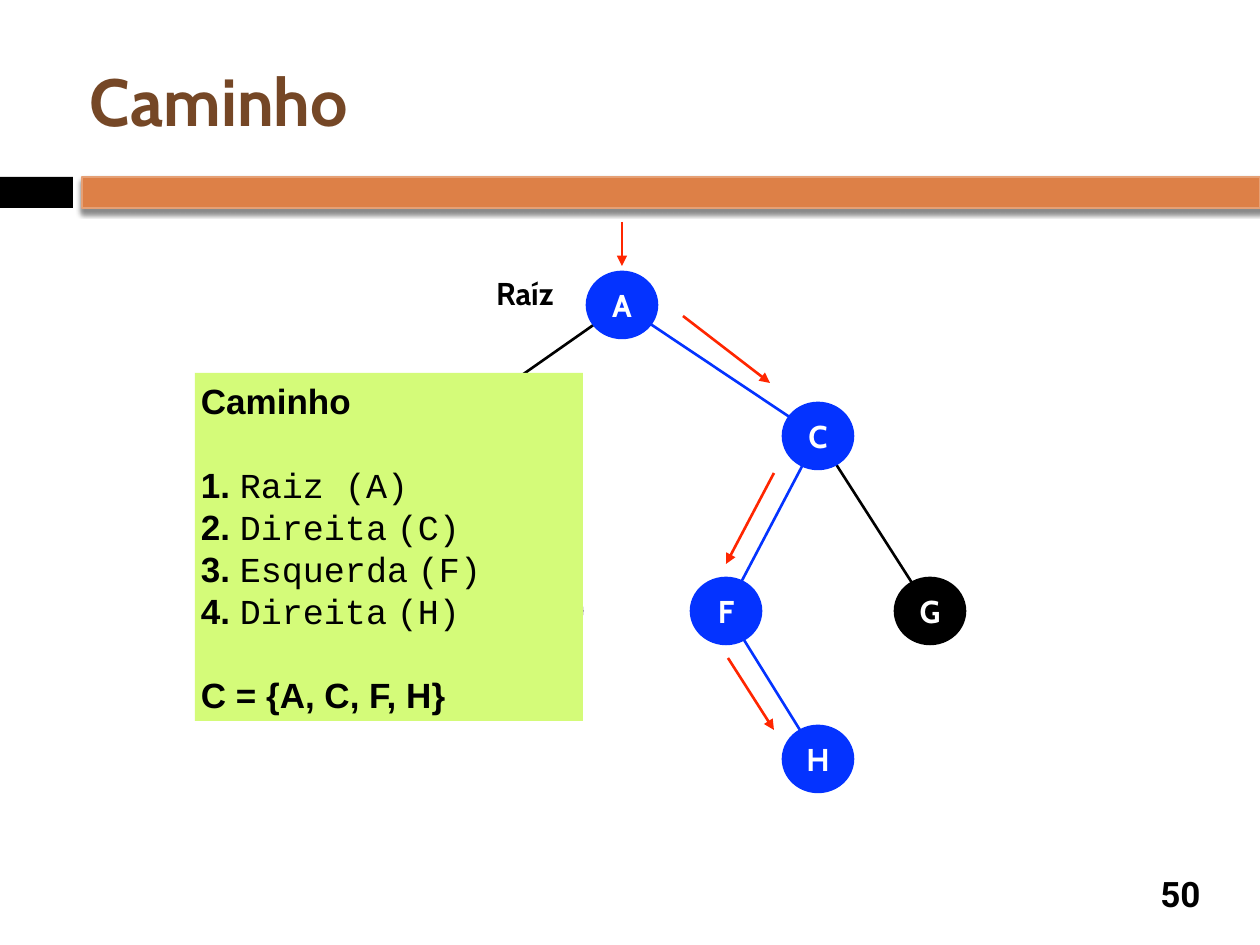
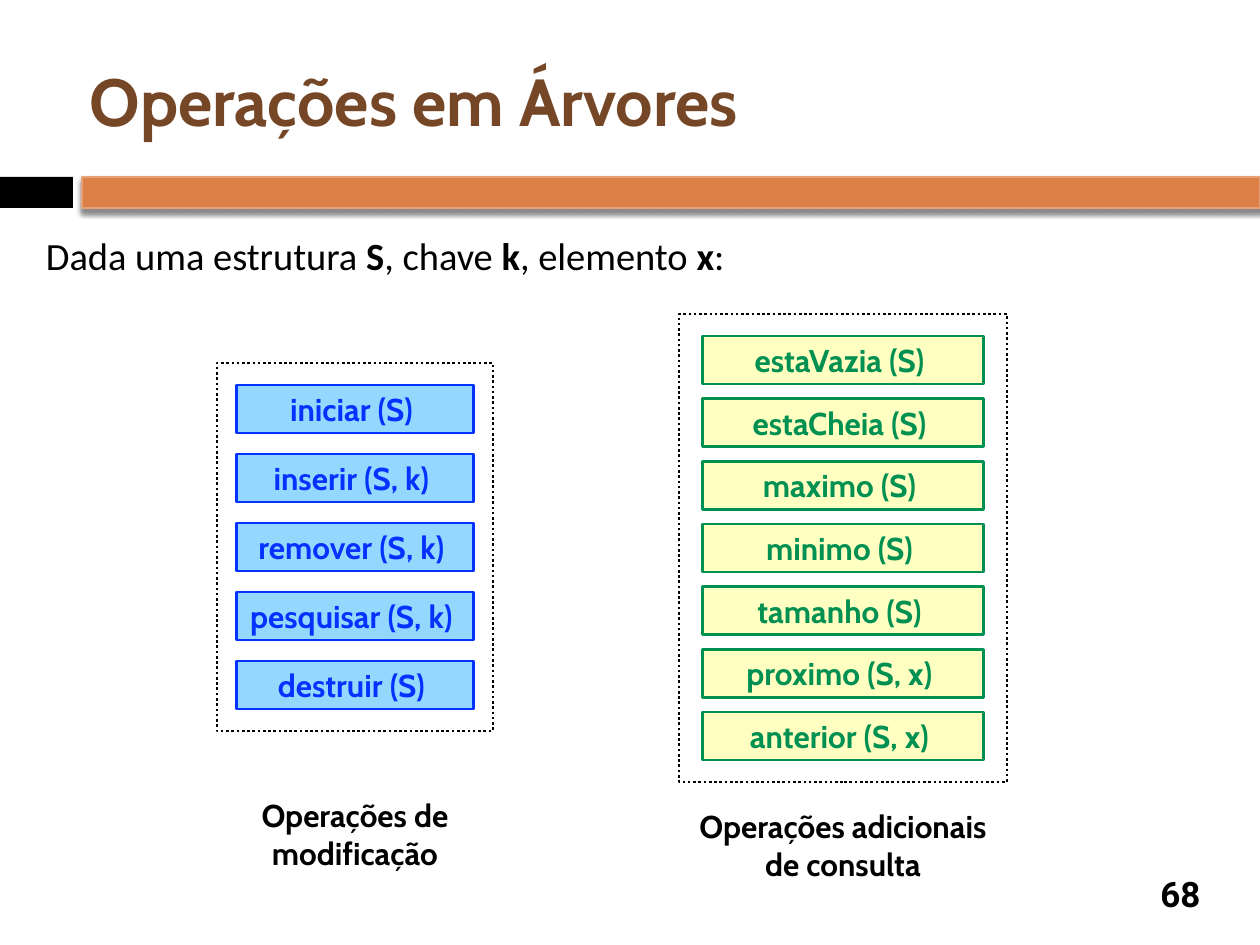
from lxml.etree import SubElement
from pptx import Presentation
from pptx.dml.color import RGBColor
from pptx.enum.dml import MSO_LINE
from pptx.enum.shapes import MSO_CONNECTOR, MSO_SHAPE
from pptx.enum.text import MSO_ANCHOR as ANCHOR, PP_ALIGN as ALIGN
from pptx.oxml.ns import qn
from pptx.util import Emu, Pt

EMU_PER_PX = 914400 / 126
BLACK = RGBColor(0x00, 0x00, 0x00)
WHITE = RGBColor(0xFF, 0xFF, 0xFF)
BROWN = RGBColor(0x75, 0x47, 0x26)
ORANGE = RGBColor(0xDD, 0x80, 0x47)
PEACH = RGBColor(0xE5, 0xA0, 0x75)
BLUE = RGBColor(0x04, 0x33, 0xFF)
SKY = RGBColor(0x95, 0xD8, 0xFF)
GREEN = RGBColor(0x00, 0x90, 0x51)
CREAM = RGBColor(0xFF, 0xFF, 0xC2)
LIME = RGBColor(0xD4, 0xFB, 0x79)
RED = RGBColor(0xFF, 0x26, 0x00)

NODE_WIDTH, NODE_HEIGHT = 70, 66
BUTTON_HEIGHT, FRAME_PADDING = 48, 22
PATH_NODES = "ACFH"
NODE_CENTRES = {"A": (222, 83), "B": (35, 214), "C": (418, 214), "E": (147, 389),
                "F": (326, 389), "G": (530, 389), "H": (418, 537)}
EDGES = ("AB", "AC", "CF", "CG", "FH")
NODE_LABELS = {"E": "", "C": "C", "F": "F", "A": "A", "H": "H", "G": "G"}
PATH_ARROWS = ((222, 0, 222, 44), (283, 94, 370, 161),
               (374, 251, 326, 342), (328, 436, 374, 508))
PATH_STEPS = (("Raiz (A)",), ("Direita", "(C)"), ("Esquerda", "(F)"), ("Direita", "(H)"))
UPDATES = ("iniciar (S) ", "inserir (S, k) ", "remover (S, k) ",
           "pesquisar (S, k) ", "destruir (S) ")
QUERIES = ("estaVazia (S) ", "estaCheia (S) ", "maximo (S) ", "minimo (S) ",
           "tamanho (S) ", "proximo (S, x) ", "anterior (S, x) ")


def px(*lengths):
    """Turn px lengths into a list of EMU."""
    return [Emu(round(length * EMU_PER_PX)) for length in lengths]


def add_run(paragraph, text, size=18, font="Cabin", color=BLACK, bold=True):
    """Append one formatted run."""
    run = paragraph.add_run()
    run.text = text
    run.font.size, run.font.name, run.font.bold = Pt(size), font, bold
    run.font.color.rgb = color


def set_frame(shape, anchor=ANCHOR.MIDDLE, wrap=True):
    """Give a shape the common text margins and return its text frame."""
    frame = shape.text_frame
    frame.margin_left, frame.margin_top, frame.margin_right, frame.margin_bottom = px(6, 6, 6, 6)
    frame.vertical_anchor, frame.word_wrap = anchor, wrap
    return frame


def add_text(slide, box, *lines, align=ALIGN.LEFT, anchor=ANCHOR.TOP, wrap=True, **style):
    """Add a text box with one paragraph for each line."""
    frame = set_frame(slide.shapes.add_textbox(*px(*box)), anchor, wrap)
    for index, line in enumerate(lines):
        paragraph = frame.add_paragraph() if index else frame.paragraphs[0]
        paragraph.alignment = align
        add_run(paragraph, line, **style)
    return frame


def add_block(slide, kind, box, fill=None, line=None, text="", color=BLACK):
    """Add a flat preset shape with an optional centred label."""
    shape = slide.shapes.add_shape(kind, *px(*box))
    shape.shadow.inherit = False
    if fill is None:
        shape.fill.background()
    else:
        shape.fill.solid()
        shape.fill.fore_color.rgb = fill
    if line is None:
        shape.line.fill.background()
    else:
        shape.line.color.rgb, shape.line.width = line, Pt(1.5)
    if text:
        paragraph = set_frame(shape).paragraphs[0]
        paragraph.alignment = ALIGN.CENTER
        add_run(paragraph, text, color=color)
    return shape


def add_line(slide, ends, color, arrow=False):
    """Add a straight line, with an arrowhead at its end if asked."""
    connector = slide.shapes.add_connector(MSO_CONNECTOR.STRAIGHT, *px(*ends))
    connector.line.color.rgb, connector.line.width = color, Pt(1.5)
    if arrow:
        SubElement(connector.line._get_or_add_ln(), qn("a:tailEnd"), type="triangle")
    SubElement(connector._element.spPr, qn("a:effectLst"))


def add_bar_shadow(bar):
    """Give the title bar its soft shadow."""
    effects = bar._element.spPr.find(qn("a:effectLst"))
    shadow = SubElement(effects, qn("a:outerShdw"), blurRad=str(Pt(3)), dist=str(Pt(2.4)),
                        dir="5400000", algn="ctr", rotWithShape="0")
    color = SubElement(shadow, qn("a:srgbClr"), val=str(BLACK))
    SubElement(color, qn("a:alpha"), val="45000")


def add_base_slide(presentation, title, number):
    """Add a blank slide with the band, title and page number."""
    slide = presentation.slides.add_slide(presentation.slide_layouts[6])
    add_block(slide, MSO_SHAPE.RECTANGLE, (0, 177, 73, 31), BLACK)
    add_bar_shadow(add_block(slide, MSO_SHAPE.RECTANGLE, (82, 177, 1178, 31), ORANGE, PEACH))
    add_text(slide, (1144, 868, 73, 52), number, align=ALIGN.CENTER,
             anchor=ANCHOR.MIDDLE, size=20, font="Roboto")
    add_text(slide, (84, 32, 1124, 136), title, anchor=ANCHOR.MIDDLE, size=38, color=BROWN)
    return slide


def add_tree(slide, left, top):
    """Draw the tree, its highlighted path and the arrows along it."""
    centres = {name: (left + x, top + y) for name, (x, y) in NODE_CENTRES.items()}
    for start, end in EDGES:
        on_path = start in PATH_NODES and end in PATH_NODES
        add_line(slide, centres[start] + centres[end], BLUE if on_path else BLACK)
    for name, label in NODE_LABELS.items():
        x, y = centres[name]
        color = BLUE if name in PATH_NODES else BLACK
        box = (x - NODE_WIDTH / 2, y - NODE_HEIGHT / 2, NODE_WIDTH, NODE_HEIGHT)
        add_block(slide, MSO_SHAPE.OVAL, box, color, color, label, WHITE)
    for x1, y1, x2, y2 in PATH_ARROWS:
        add_line(slide, (left + x1, top + y1, left + x2, top + y2), RED, arrow=True)
    add_text(slide, (left + 90, top + 46, 72, 45), "Raíz", wrap=False)


def add_path_panel(slide, box):
    """Add the panel that lists the steps of the path."""
    panel = add_block(slide, MSO_SHAPE.RECTANGLE, box, LIME)
    frame = set_frame(panel, ANCHOR.TOP)
    heading = frame.paragraphs[0]
    add_run(heading, "Caminho", 20, "Arial")
    for step in PATH_STEPS:
        paragraph = frame.add_paragraph()
        properties = paragraph._p.get_or_add_pPr()
        indent = px(29)[0]
        properties.set("marL", str(indent))
        properties.set("indent", str(-indent))
        SubElement(properties, qn("a:buFont"), typeface="Arial")
        SubElement(properties, qn("a:buAutoNum"), type="arabicPeriod")
        for word in step:
            add_run(paragraph, " ", 20, "Arial")
            add_run(paragraph, word, 20, "Courier New", bold=False)
    add_run(frame.add_paragraph(), "C = {A, C, F, H}", 20, "Arial")
    for paragraph in frame.paragraphs:
        paragraph.alignment, paragraph.line_spacing = ALIGN.LEFT, Pt(24)
    for index in (1, -1):
        frame.paragraphs[index].space_before = Pt(24)


def add_operations(slide, box, button_width, labels, fill, color):
    """Add a dotted frame with evenly spaced operation buttons."""
    left, top, width, height = box
    frame = add_block(slide, MSO_SHAPE.RECTANGLE, box, line=BLACK)
    frame.line.dash_style = MSO_LINE.ROUND_DOT
    pitch = (height - 2 * FRAME_PADDING - BUTTON_HEIGHT) / (len(labels) - 1)
    for index, label in enumerate(labels):
        button = (left + (width - button_width) / 2, top + FRAME_PADDING + index * pitch,
                  button_width, BUTTON_HEIGHT)
        add_block(slide, MSO_SHAPE.RECTANGLE, button, fill, color, label, color)


def add_path_slide(presentation):
    """Build the slide about a path in a tree."""
    slide = add_base_slide(presentation, "Caminho", "50")
    add_tree(slide, 400, 222)
    add_path_panel(slide, (195, 373, 388, 348))


def add_operations_slide(presentation):
    """Build the slide about tree operations."""
    slide = add_base_slide(presentation, "Operações em Árvores", "68")
    intro = add_text(slide, (40, 226, 1134, 79)).paragraphs[0]
    for index, text in enumerate(("Dada uma estrutura ", "S", ", chave ", "k",
                                  ", elemento ", "x", ":")):
        add_run(intro, text, 22, "Calibri", bold=index % 2 == 1)
    add_operations(slide, (217, 363, 276, 368), 237, UPDATES, SKY, BLUE)
    add_operations(slide, (679, 314, 328, 468), 281, QUERIES, CREAM, GREEN)
    add_text(slide, (235, 790, 240, 79), "Operações de", "modificação", align=ALIGN.CENTER)
    add_text(slide, (673, 801, 340, 79), "Operações adicionais", "de consulta",
             align=ALIGN.CENTER)


def main():
    """Build and save the presentation."""
    presentation = Presentation()
    presentation.slide_width, presentation.slide_height = px(1260, 945)
    add_path_slide(presentation)
    add_operations_slide(presentation)
    presentation.save("out.pptx")


if __name__ == "__main__":
    main()
